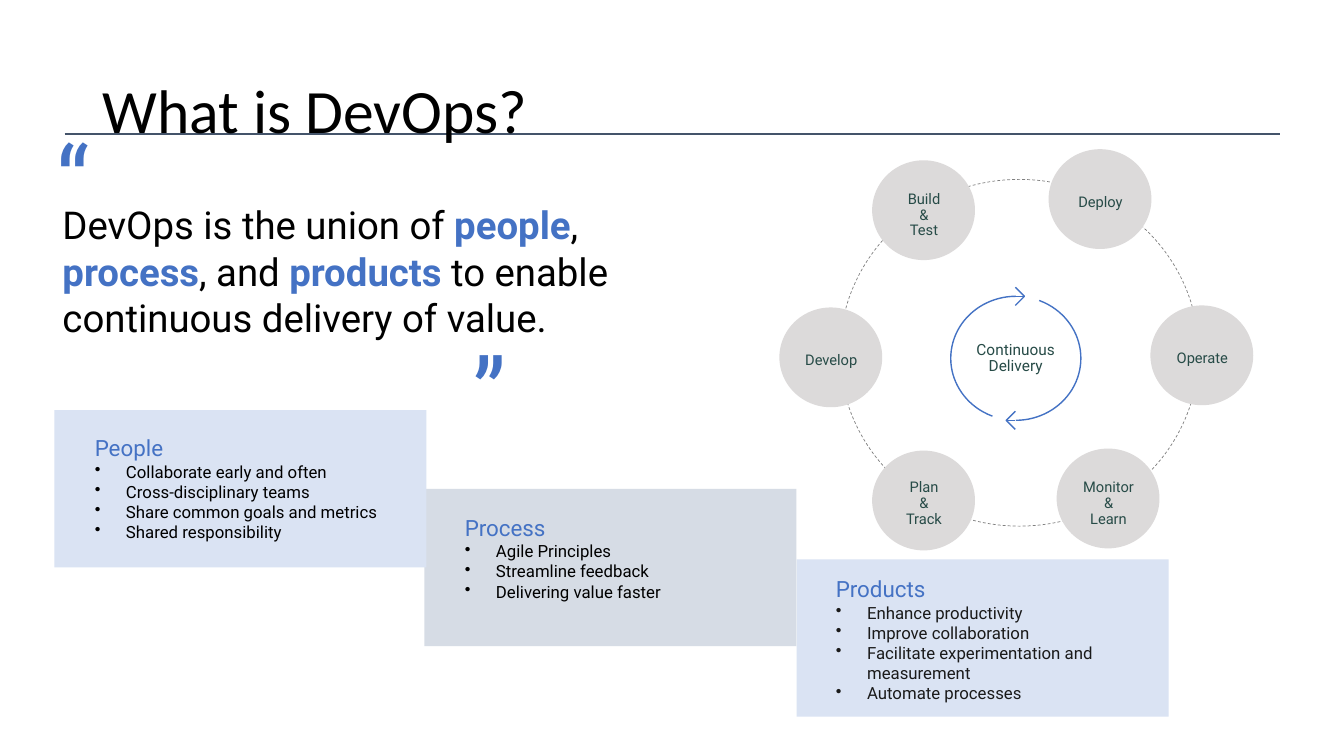
from lxml import etree
from pptx import Presentation
from pptx.dml.color import RGBColor
from pptx.enum.dml import MSO_LINE
from pptx.enum.shapes import MSO_CONNECTOR, MSO_SHAPE
from pptx.enum.text import MSO_ANCHOR, PP_ALIGN
from pptx.oxml.ns import qn
from pptx.util import Inches, Pt

BLUE, BLACK, GREEN = "4472C4", "000000", "274B47"
rgb = RGBColor.from_string

prs = Presentation()
prs.slide_width, prs.slide_height = Inches(13.33), Inches(7.5)
shapes = prs.slides.add_slide(prs.slide_layouts[6]).shapes


def style(s, fill=None, line=None, width=1):
    """Set fill and line of a shape or connector and drop its shadow."""
    if hasattr(s, "fill"):
        if fill:
            s.fill.solid()
            s.fill.fore_color.rgb = rgb(fill)
        else:
            s.fill.background()
    if line:
        s.line.color.rgb = rgb(line)
        s.line.width = Pt(width)
    else:
        s.line.fill.background()
    if hasattr(s, "shadow"):
        s.shadow.inherit = False
    else:
        etree.SubElement(s._element.spPr, qn("a:effectLst"))


def add_text(at, paragraphs, font="Roboto", insets=(0, 0, 0, 0),
             anchor=MSO_ANCHOR.TOP, align=PP_ALIGN.LEFT, spacing=1.0):
    """Add a text box; a paragraph is a list of (text, size, colour, bold)."""
    tf = shapes.add_textbox(*map(Inches, at)).text_frame
    tf.word_wrap = True
    tf.vertical_anchor = anchor
    tf.margin_left, tf.margin_top, tf.margin_right, tf.margin_bottom = map(Inches, insets)
    for i, runs in enumerate(paragraphs):
        p = tf.add_paragraph() if i else tf.paragraphs[0]
        p.alignment, p.line_spacing = align, spacing
        for text, size, color, bold in runs:
            for j, part in enumerate(text.split("\n")):
                if j:
                    p.add_line_break()
                r = p.add_run()
                r.text = part
                r.font.name, r.font.size, r.font.bold = font, Pt(size), bold
                r.font.color.rgb = rgb(color)
    return tf


# Title and rule
rule = shapes.add_connector(MSO_CONNECTOR.STRAIGHT, Inches(0.64), Inches(1.33),
                            Inches(12.7), Inches(1.33))
style(rule, line="44546A", width=2)
add_text((0.92, 0.4, 11.5, 1.45), [[("What is DevOps?", 44, BLACK, False)]], "Calibri",
         (0.1, 0.05, 0.1, 0.05), MSO_ANCHOR.MIDDLE, spacing=0.9)

# Quotation
quote = [("DevOps is the union of ", False), ("people", True), (", ", False),
         ("process", True), (", and ", False), ("products", True),
         (" to enable continuous delivery of value.", False)]
add_text((0.47, 1.17, 5.8, 3.39),
         [[(text, 27.4, BLUE if bold else BLACK, bold) for text, bold in quote]],
         insets=(0.15, 0.83, 0.2, 0.16))
for mark, x, y in (("“", 0.47, 1.17), ("”", 4.6, 3.27)):
    add_text((x, y, 0.85, 1.18), [[(mark, 62.7, BLUE, False)]], "Roboto Slab",
             (0.1, 0.05, 0.1, 0.05))

# Dashed ring
ring = shapes.add_shape(MSO_SHAPE.OVAL, Inches(8.33), Inches(1.78), Inches(3.56), Inches(3.44))
style(ring, line="808080", width=0.5)
ring.line.dash_style = MSO_LINE.DASH

# Stages: name, circle left and top, label top
stages = [
    ("Build\n&\nTest", 8.65, 1.59, 1.9),
    ("Deploy", 10.4, 1.48, 1.93),
    ("Operate", 11.41, 3.03, 3.48),
    ("Monitor\n&\nLearn", 10.48, 4.45, 4.76),
    ("Plan\n&\nTrack", 8.65, 4.47, 4.76),
    ("Develop", 7.73, 3.05, 3.5),
]
for name, x, y, label_y in stages:
    circle = shapes.add_shape(MSO_SHAPE.OVAL, Inches(x), Inches(y), Inches(1.02), Inches(0.99))
    style(circle, fill="DCDADA")
    add_text((x + 0.05, label_y, 0.93, 0.5), [[(name, 10.5, GREEN, False)]],
             align=PP_ALIGN.CENTER, spacing=0.9)

# Centre cycle: two arcs, each ending in an open arrowhead
add_text((9.41, 3.12, 1.33, 0.87), [[("Continuous\nDelivery", 11, GREEN, False)]],
         anchor=MSO_ANCHOR.MIDDLE, align=PP_ALIGN.CENTER, spacing=0.9)
mid_x = 10.07
for start, end, tip_y, way in ((112, 270, 2.94, 1), (292, 90, 4.17, -1)):
    arc = shapes.add_shape(MSO_SHAPE.ARC, Inches(9.43), Inches(2.94), Inches(1.29), Inches(1.23))
    arc.adjustments[0], arc.adjustments[1] = start * 0.6, end * 0.6
    tip_x = mid_x + 0.09 * way
    stub = shapes.add_connector(MSO_CONNECTOR.STRAIGHT, Inches(mid_x), Inches(tip_y),
                                Inches(tip_x), Inches(tip_y))
    fb = shapes.build_freeform(Inches(mid_x), Inches(tip_y - 0.09))
    fb.add_line_segments([(Inches(tip_x), Inches(tip_y)),
                          (Inches(mid_x), Inches(tip_y + 0.09))], close=False)
    for s in (arc, stub, fb.convert_to_shape()):
        style(s, line=BLUE)

# Cards, right one at the back: card place, fill, text place, text colour, heading, points
cards = [
    (7.9, 5.55, "DAE3F3", 8.29, 5.71, "1A1A1A", "Products",
     ["Enhance productivity", "Improve collaboration",
      "Facilitate experimentation and measurement", "Automate processes"]),
    (4.21, 4.85, "D6DCE5", 4.61, 5.1, BLACK, "Process",
     ["Agile Principles", "Streamline feedback", "Delivering value faster"]),
    (0.54, 4.07, "DAE3F3", 0.94, 4.31, BLACK, "People",
     ["Collaborate early and often", "Cross-disciplinary teams",
      "Share common goals and metrics", "Shared responsibility"]),
]
for x, y, fill, text_x, text_y, color, heading, points in cards:
    card = shapes.add_shape(MSO_SHAPE.RECTANGLE, Inches(x), Inches(y), Inches(3.69), Inches(1.56))
    style(card, fill=fill)
    tf = add_text((text_x, text_y, 3.2, 1.28),
                  [[(heading, 16, BLUE, False)]] + [[(t, 12, color, False)] for t in points])
    for p in tf.paragraphs[1:]:
        pPr = p._p.get_or_add_pPr()
        pPr.set("marL", str(Inches(0.31)))
        pPr.set("indent", str(-Inches(0.31)))
        etree.SubElement(pPr, qn("a:buChar")).set("char", "•")

prs.save("out.pptx")
